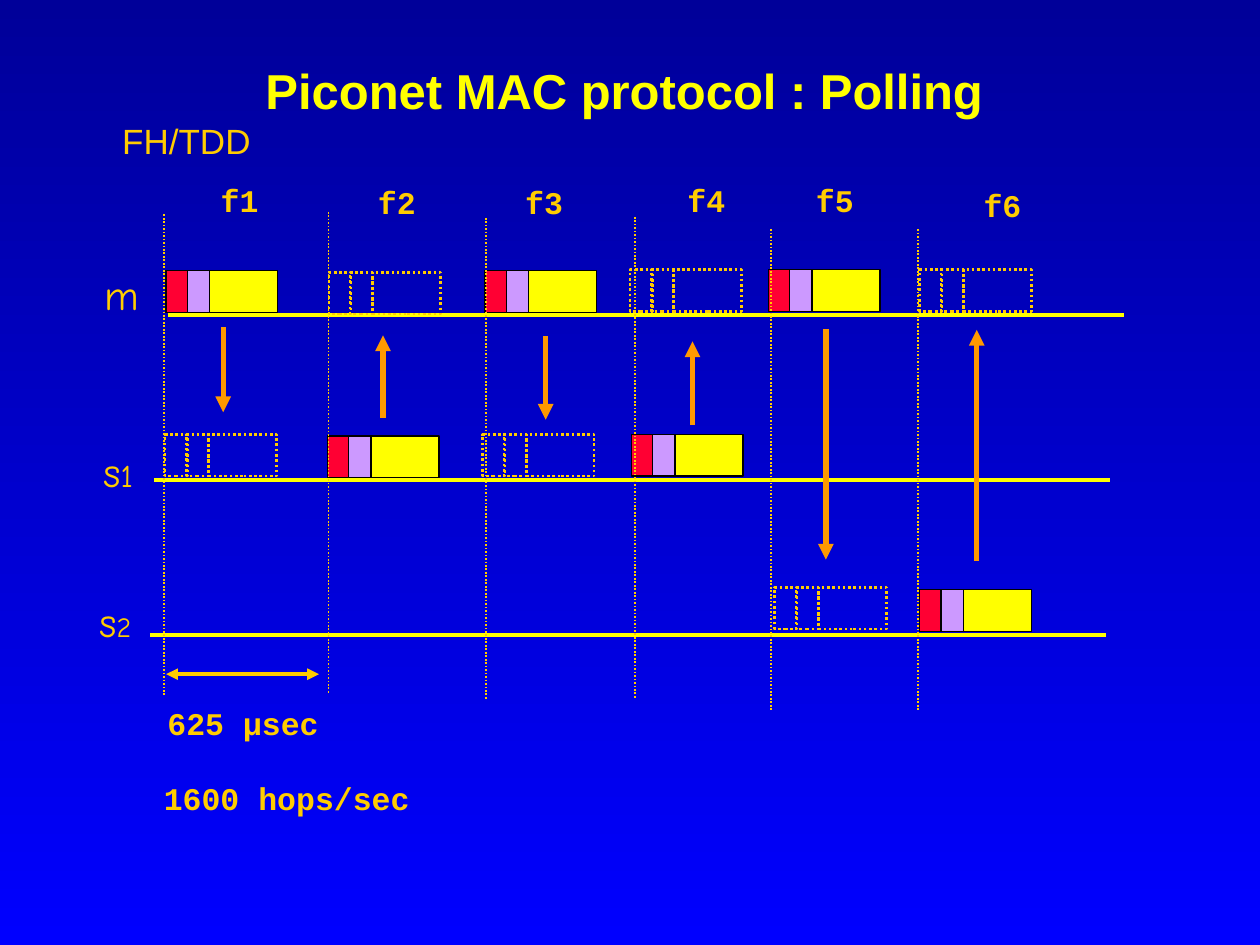
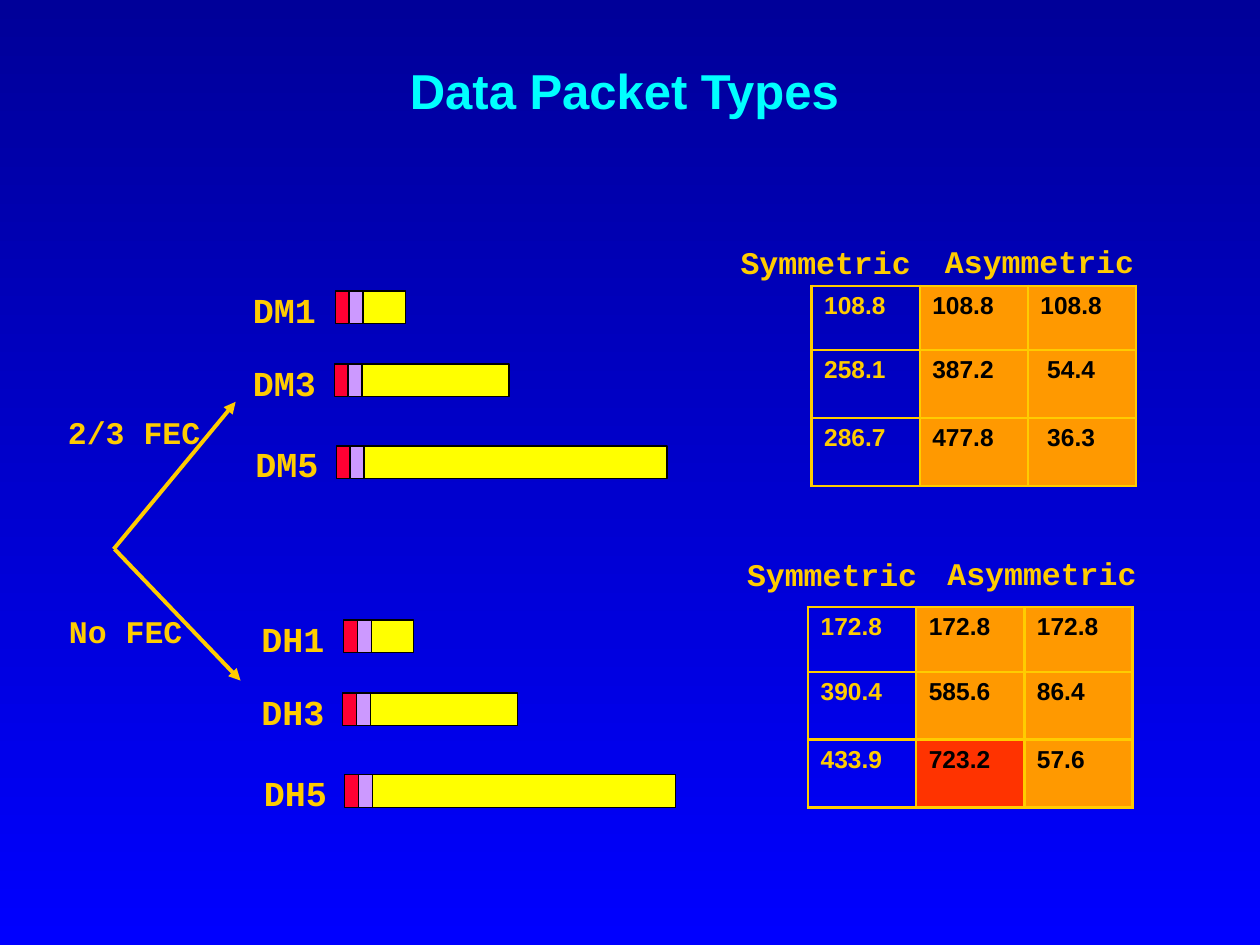
import pptx
import pptx.dml.color
import pptx.enum.dml
import pptx.enum.shapes
import pptx.enum.text
import pptx.oxml.ns
import pptx.util
from lxml import etree

Cm = pptx.util.Cm
Pt = pptx.util.Pt
RGBColor = pptx.dml.color.RGBColor
DOTTED = pptx.enum.dml.MSO_LINE.ROUND_DOT
ALIGN = pptx.enum.text.PP_ALIGN
ANCHOR = pptx.enum.text.MSO_ANCHOR

# Colours and fonts
NAVY = RGBColor(0x00, 0x00, 0x99)
BLUE = RGBColor(0x00, 0x00, 0xFF)
YELLOW = RGBColor(0xFF, 0xFF, 0x00)
CYAN = RGBColor(0x00, 0xFF, 0xFF)
GOLD = RGBColor(0xFF, 0xCC, 0x00)
ORANGE = RGBColor(0xFF, 0x99, 0x00)
RED = RGBColor(0xFF, 0x00, 0x33)
HIGHLIGHT = RGBColor(0xFF, 0x33, 0x00)
VIOLET = RGBColor(0xCC, 0x99, 0xFF)
BLACK = RGBColor(0x00, 0x00, 0x00)
SANS, MONO, COMIC = "Arial", "Courier New", "Comic Neue"

# Content of the polling slide; all lengths are in cm
POLLING_TITLE = "Piconet MAC protocol : Polling"
NODES = [  # name, number, number size, label left, top, width, baseline left, top
    ("m", "", 24, 1.85, 5.28, 1.17, 3.38, 6.35),
    ("s", "1", 18, 1.83, 8.86, 1.22, 3.1, 9.68),
    ("s", "2", 16, 1.75, 11.89, 1.27, 3.02, 12.8),
]
BASELINE_LENGTH = 19.28
SLOTS = [  # label, its centre and top, divider, sent packet, received packet, arrow x and ends
    ("f1", (4.83, 3.53), (3.3, 4.32), (3.35, 5.46), (3.33, 8.76), (4.5, 6.6, 8.31)),
    ("f2", (8.0, 3.56), (6.62, 4.27), (6.6, 8.79), (6.63, 5.49), (7.72, 8.43, 6.76)),
    ("f3", (10.97, 3.56), (9.8, 4.39), (9.78, 5.46), (9.73, 8.76), (11.0, 6.78, 8.46)),
    ("f4", (14.24, 3.53), (12.8, 4.37), (12.73, 8.76), (12.7, 5.44), (13.96, 8.56, 6.88)),
    ("f5", (16.83, 3.53), (15.54, 4.62), (15.49, 5.44), (15.62, 11.84), (16.65, 6.63, 11.28)),
    ("f6", (20.21, 3.63), (18.51, 4.62), (18.54, 11.89), (18.54, 5.44), (19.69, 11.3, 6.65)),
]
DIVIDER_LENGTH = 9.71
SLOT_LABEL_WIDTH = 1.6

# Content of the packet slide
PACKETS_TITLE = "Data Packet Types"
FAMILIES = [  # prefix, offset right and down
    ("DM", 0, 0),
    ("DH", 0.17, 6.63),
]
PACKET_ROWS = [  # slots, label left and top, packet left and top, payload width
    (1, (4.85, 5.69), (6.76, 5.87), 0.86),
    (3, (4.85, 7.16), (6.74, 7.34), 2.97),
    (5, (4.9, 8.79), (6.78, 8.99), 6.12),
]
BRANCHES = [  # text, left, top, width, arrow start and end
    ("2/3 FEC", 1.12, 8.2, 3.18, (2.29, 11.07), (4.75, 8.1)),
    ("No FEC", 1.14, 12.22, 2.79, (2.31, 11.07), (4.85, 13.72)),
]
RATE_TABLES = [  # header positions, table position, rates
    ((14.68, 4.78), (18.8, 4.75), (16.36, 5.76),
     [("108.8", "108.8", "108.8"), ("258.1", "387.2", " 54.4"), ("286.7", "477.8", " 36.3")]),
    ((14.81, 11.07), (18.85, 11.05), (16.29, 12.24),
     [("172.8", "172.8", "172.8"), ("390.4", "585.6", "86.4"), ("433.9", "723.2", "57.6")]),
]
TOP_RATE = "723.2"
COLUMN_WIDTH = 2.18
ROW_HEIGHTS = [1.3, 1.37, 1.37]


def write(frame, text, size=18, font=MONO, color=GOLD, bold=True, align=ALIGN.LEFT,
          suffix="", suffix_size=18):
    """Fill a text frame with one line and an optional suffix of another size."""
    paragraph = frame.paragraphs[0]
    paragraph.alignment = align
    for part, part_size in ((text, size), (suffix, suffix_size)):
        if part:
            run = paragraph.add_run()
            run.text = part
            run.font.name = font
            run.font.size = Pt(part_size)
            run.font.bold = bold
            run.font.color.rgb = color


def add_label(slide, text, left, top, width, height=1.02, anchor=ANCHOR.TOP, **text_format):
    box = slide.shapes.add_textbox(Cm(left), Cm(top), Cm(width), Cm(height))
    box.text_frame.word_wrap = False
    box.text_frame.vertical_anchor = anchor
    write(box.text_frame, text, **text_format)


def add_line(slide, start, end, color, width, dotted=False, arrows=()):
    """Draw a line; arrows may hold headEnd (at start) and tailEnd (at end)."""
    line = slide.shapes.add_connector(
        pptx.enum.shapes.MSO_CONNECTOR.STRAIGHT, *(Cm(value) for value in start + end))
    line.line.color.rgb = color
    line.line.width = Pt(width)
    if dotted:
        line.line.dash_style = DOTTED
    properties = line._element.spPr
    outline = properties.find(pptx.oxml.ns.qn("a:ln"))
    for arrow in arrows:
        etree.SubElement(outline, pptx.oxml.ns.qn("a:" + arrow), type="triangle")
    etree.SubElement(properties, pptx.oxml.ns.qn("a:effectLst"))


def add_packet(slide, left, top, height=0.84, header=0.45, offsets=(0.43, 0.88),
               payload=1.37, received=False):
    """Group access code, payload and header; a received packet is only outlined."""
    group = slide.shapes.add_group_shape()
    parts = [(0, header, RED), (offsets[1], payload, YELLOW), (offsets[0], header, VIOLET)]
    for offset, width, color in parts:
        part = group.shapes.add_shape(
            pptx.enum.shapes.MSO_SHAPE.RECTANGLE,
            Cm(left + offset), Cm(top), Cm(width), Cm(height))
        part.shadow.inherit = False
        if received:
            part.fill.background()
            part.line.dash_style = DOTTED
        else:
            part.fill.solid()
            part.fill.fore_color.rgb = color
        part.line.color.rgb = GOLD if received else BLACK
        part.line.width = Pt(1.5 if received else 0.75)


def add_borders(cell):
    properties = cell._tc.get_or_add_tcPr()
    for side in ("lnL", "lnR", "lnT", "lnB"):
        border = etree.SubElement(
            properties, pptx.oxml.ns.qn("a:" + side), w=str(Pt(1.5)))
        fill = etree.SubElement(border, pptx.oxml.ns.qn("a:solidFill"))
        etree.SubElement(fill, pptx.oxml.ns.qn("a:srgbClr"), val=str(GOLD))


def add_rate_table(slide, left, top, rates):
    table = slide.shapes.add_table(
        len(rates), len(rates[0]), Cm(left), Cm(top),
        Cm(COLUMN_WIDTH * len(rates[0])), Cm(sum(ROW_HEIGHTS))).table
    table.first_row = table.horz_banding = False
    for column in table.columns:
        column.width = Cm(COLUMN_WIDTH)
    for row, height, values in zip(table.rows, ROW_HEIGHTS, rates):
        row.height = Cm(height)
        for index, (cell, rate) in enumerate(zip(row.cells, values)):
            add_borders(cell)
            if index == 0:
                cell.fill.background()
            else:
                cell.fill.solid()
                cell.fill.fore_color.rgb = HIGHLIGHT if rate == TOP_RATE else ORANGE
            write(cell.text_frame, rate, size=14, font=SANS,
                  color=BLACK if index else GOLD)


def set_background(master):
    fill = master.background.fill
    fill.gradient()
    fill.gradient_angle = 270
    for stop, color in zip(fill.gradient_stops, (NAVY, BLUE)):
        stop.color.rgb = color


def add_slide(presentation, title, color):
    slide = presentation.slides.add_slide(presentation.slide_layouts[5])
    shape = slide.shapes.title
    shape.left, shape.top, shape.width, shape.height = Cm(2.74), Cm(1.07), Cm(19.69), Cm(1.47)
    frame = shape.text_frame
    frame.margin_left = frame.margin_right = frame.margin_top = frame.margin_bottom = 0
    frame.vertical_anchor = ANCHOR.MIDDLE
    frame.auto_size = pptx.enum.text.MSO_AUTO_SIZE.NONE
    write(frame, title, size=28, font=SANS, color=color, align=ALIGN.CENTER)
    return slide


def build_polling_slide(presentation):
    slide = add_slide(presentation, POLLING_TITLE, YELLOW)
    centred = {"anchor": ANCHOR.MIDDLE, "align": ALIGN.CENTER}

    # Nodes and their baselines
    for name, number, number_size, left, top, width, line_left, line_top in NODES:
        add_line(slide, (line_left, line_top), (line_left + BASELINE_LENGTH, line_top),
                 YELLOW, 2.25)
        add_label(slide, name, left, top, width, 1.27, size=24, font=COMIC, bold=False,
                  suffix=number, suffix_size=number_size)

    # Frequency slots
    for label, (center, label_top), divider, sent, received, arrow in SLOTS:
        add_packet(slide, *sent)
        add_packet(slide, *received, received=True)
        add_line(slide, divider, (divider[0], divider[1] + DIVIDER_LENGTH), GOLD, 1, dotted=True)
        arrow_x, start, end = arrow
        add_line(slide, (arrow_x, start), (arrow_x, end), ORANGE, 3, arrows=["tailEnd"])
        add_label(slide, label, center - SLOT_LABEL_WIDTH / 2, label_top,
                  SLOT_LABEL_WIDTH, **centred)

    # Slot duration and captions
    add_line(slide, (3.35, 13.59), (6.43, 13.59), GOLD, 2.25, arrows=["headEnd", "tailEnd"])
    add_label(slide, "625 µsec", 3.12, 14.07, 3.56, **centred)
    add_label(slide, "1600 hops/sec", 3.05, 15.57, 5.46, **centred)
    add_label(slide, "FH/TDD", 1.98, 2.29, 3.56, 1.09, size=20, font=SANS, bold=False, **centred)


def build_packet_slide(presentation):
    slide = add_slide(presentation, PACKETS_TITLE, CYAN)

    # Packet families
    for prefix, right, down in FAMILIES:
        for slots, (label_left, label_top), (left, top), payload in PACKET_ROWS:
            add_label(slide, f"{prefix}{slots}", label_left + right, label_top + down,
                      1.78, 1.09, size=20)
            add_packet(slide, left + right, top + down, height=0.66, header=0.28,
                       offsets=(0.28, 0.55), payload=payload)

    # Error correction branches
    for text, left, top, width, start, end in BRANCHES:
        add_line(slide, start, end, GOLD, 2.25, arrows=["tailEnd"])
        add_label(slide, text, left, top, width)

    # Data rates
    for symmetric, asymmetric, position, rates in RATE_TABLES:
        add_label(slide, "Symmetric", *symmetric, 3.94)
        add_label(slide, "Asymmetric", *asymmetric, 4.32)
        add_rate_table(slide, *position, rates)


def main():
    presentation = pptx.Presentation()
    presentation.slide_width, presentation.slide_height = Cm(25.4), Cm(19.05)
    set_background(presentation.slide_master)
    build_polling_slide(presentation)
    build_packet_slide(presentation)
    presentation.save("out.pptx")


if __name__ == "__main__":
    main()
